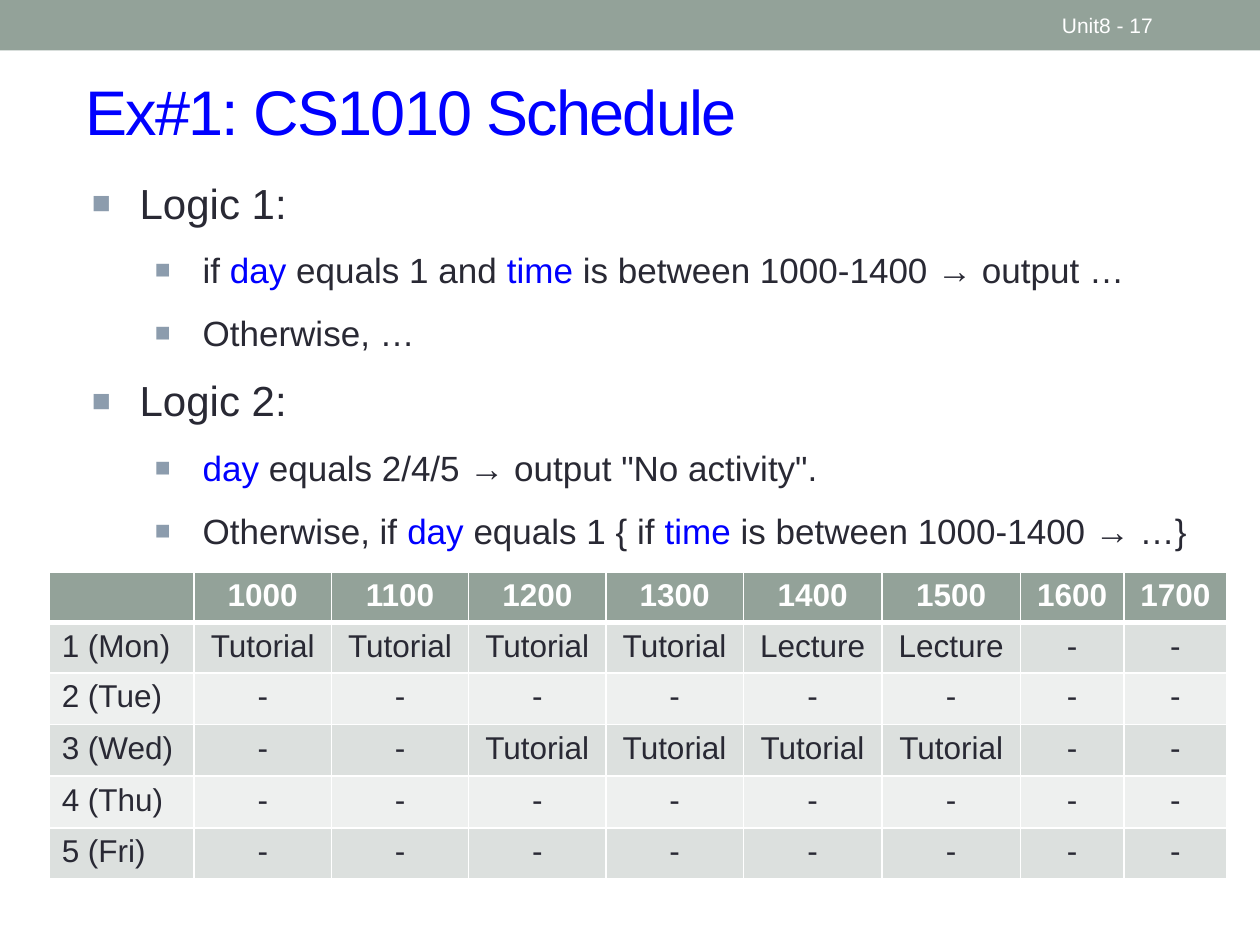
from lxml import etree
from pptx import Presentation
from pptx import util as u
from pptx.dml import color
from pptx.enum import shapes, text
from pptx.oxml import ns

WIDTH, HEIGHT = 10, 7.5
SAGE, INK, BLUE, WHITE, BULLET = "93A299", "292934", "0000FF", "FFFFFF", "8C9CAD"
BANDS = "DCE0DE", "EEF0EF"
LOGIC = [
    (0, "Logic 1:"),
    (1, "if |day| equals 1 and |time| is between 1000-1400 → output …"),
    (1, "Otherwise, …"),
    (0, "Logic 2:"),
    (1, '|day| equals 2/4/5 → output "No activity".'),
    (1, "Otherwise, if |day| equals 1 { if| time |is between 1000-1400 → …}"),
]
HOURS = ["1000", "1100", "1200", "1300", "1400", "1500", "1600", "1700"]
DAYS = {
    "1 (Mon)": ["Tutorial"] * 4 + ["Lecture"] * 2 + ["-"] * 2,
    "2 (Tue)": ["-"] * 8,
    "3 (Wed)": ["-"] * 2 + ["Tutorial"] * 4 + ["-"] * 2,
    "4 (Thu)": ["-"] * 8,
    "5 (Fri)": ["-"] * 8,
}
COLUMNS = [1.15] + [1.09] * 4 + [1.1] * 2 + [0.82] * 2
ROWS = [0.38, 0.38, 0.41, 0.41, 0.41, 0.37]


def rgb(code):
    """Turn a hex string into a colour."""
    return color.RGBColor.from_string(code)


def paint(part, code):
    """Fill a shape or a cell with one colour."""
    part.fill.solid()
    part.fill.fore_color.rgb = rgb(code)


def add_element(parent, tag, position=None, **attributes):
    """Put a drawing element into a parent, last unless a position is given."""
    element = etree.Element(ns.qn(tag), attributes)
    parent.insert(len(parent) if position is None else position, element)
    return element


def write(paragraph, words, size, code, bold=False):
    """Add a run of formatted words to a paragraph."""
    run = paragraph.add_run()
    run.text = words
    for name, value in {"name": "Arial", "size": u.Pt(size), "bold": bold}.items():
        setattr(run.font, name, value)
    run.font.color.rgb = rgb(code)
    return run


def add_frame(slide, left, top, width, height, anchor=text.MSO_ANCHOR.TOP):
    """Add a wrapping text box and return its text frame."""
    box = slide.shapes.add_textbox(*map(u.Inches, (left, top, width, height)))
    for name, value in {"word_wrap": True, "vertical_anchor": anchor}.items():
        setattr(box.text_frame, name, value)
    return box.text_frame


def add_banner(slide):
    """Draw the strip across the top of the slide."""
    banner = slide.shapes.add_shape(
        shapes.MSO_SHAPE.RECTANGLE, 0, 0, u.Inches(WIDTH), u.Inches(0.4))
    banner.shadow.inherit = False
    paint(banner, SAGE)
    banner.line.fill.background()


def add_label(slide, place, words, size, code):
    """Add one line of text centred vertically in its place."""
    frame = add_frame(slide, *place, anchor=text.MSO_ANCHOR.MIDDLE)
    return write(frame.paragraphs[0], words, size, code)


def add_bullet(paragraph, level):
    """Give a paragraph its square bullet and hanging indent."""
    properties = paragraph._p.get_or_add_pPr()
    properties.set("marL", str(u.Inches(0.38 + 0.5 * level)))
    properties.set("indent", str(u.Inches(-0.38)))
    bullet_color = add_element(properties, "a:buClr")
    add_element(bullet_color, "a:srgbClr", val=BULLET)
    add_element(properties, "a:buSzPct", val="75000")
    add_element(properties, "a:buFont", typeface="Arial")
    add_element(properties, "a:buChar", char="■")


def add_logic(slide):
    """List the logic steps, with every second part of a step in blue."""
    frame = add_frame(slide, 0.63, 1.36, 9.15, 3.15)
    for index, (level, step) in enumerate(LOGIC):
        paragraph = frame.add_paragraph() if index else frame.paragraphs[0]
        add_bullet(paragraph, level)
        paragraph.level = level
        paragraph.space_before = u.Pt(12 if index else 0)
        for order, words in enumerate(step.split("|")):
            if words:
                write(paragraph, words, 24 - 4 * level, BLUE if order % 2 else INK)


def add_borders(cell, bottom):
    """Draw white borders round a cell."""
    properties = cell._tc.get_or_add_tcPr()
    for position, side in enumerate("LRTB"):
        points = bottom if side == "B" else 1
        border = add_element(properties, f"a:ln{side}", position, w=str(u.Pt(points)))
        add_element(add_element(border, "a:solidFill"), "a:srgbClr", val=WHITE)


def add_schedule(slide):
    """Build the weekly schedule table."""
    lines = [["", *HOURS]] + [[day, *slots] for day, slots in DAYS.items()]
    place = map(u.Inches, (0.39, 4.54, sum(COLUMNS), sum(ROWS)))
    table = slide.shapes.add_table(len(ROWS), len(COLUMNS), *place).table
    for column, width in zip(table.columns, COLUMNS):
        column.width = u.Inches(width)
    for index, (height, line) in enumerate(zip(ROWS, lines)):
        table.rows[index].height = u.Inches(height)
        header = index == 0
        for order, words in enumerate(line):
            cell = table.cell(index, order)
            paint(cell, SAGE if header else BANDS[(index - 1) % 2])
            add_borders(cell, 3 if header else 1)
            paragraph = cell.text_frame.paragraphs[0]
            if order:
                paragraph.alignment = text.PP_ALIGN.CENTER
            if words:
                write(paragraph, words, 18, WHITE if header else INK, header)


def main():
    """Build the schedule slide and save it."""
    deck = Presentation()
    deck.slide_width, deck.slide_height = u.Inches(WIDTH), u.Inches(HEIGHT)
    slide = deck.slides.add_slide(deck.slide_layouts[6])
    add_banner(slide)
    title = add_label(slide, (0.58, 0.5, 9.19, 0.75), "Ex#1: CS1010 Schedule", 36, BLUE)
    title.font._element.set("spc", "-100")
    add_logic(slide)
    add_schedule(slide)
    add_label(slide, (8.33, 0.02, 1.17, 0.36), "Unit8 - 17", 12, WHITE)
    deck.save("out.pptx")


if __name__ == "__main__":
    main()
